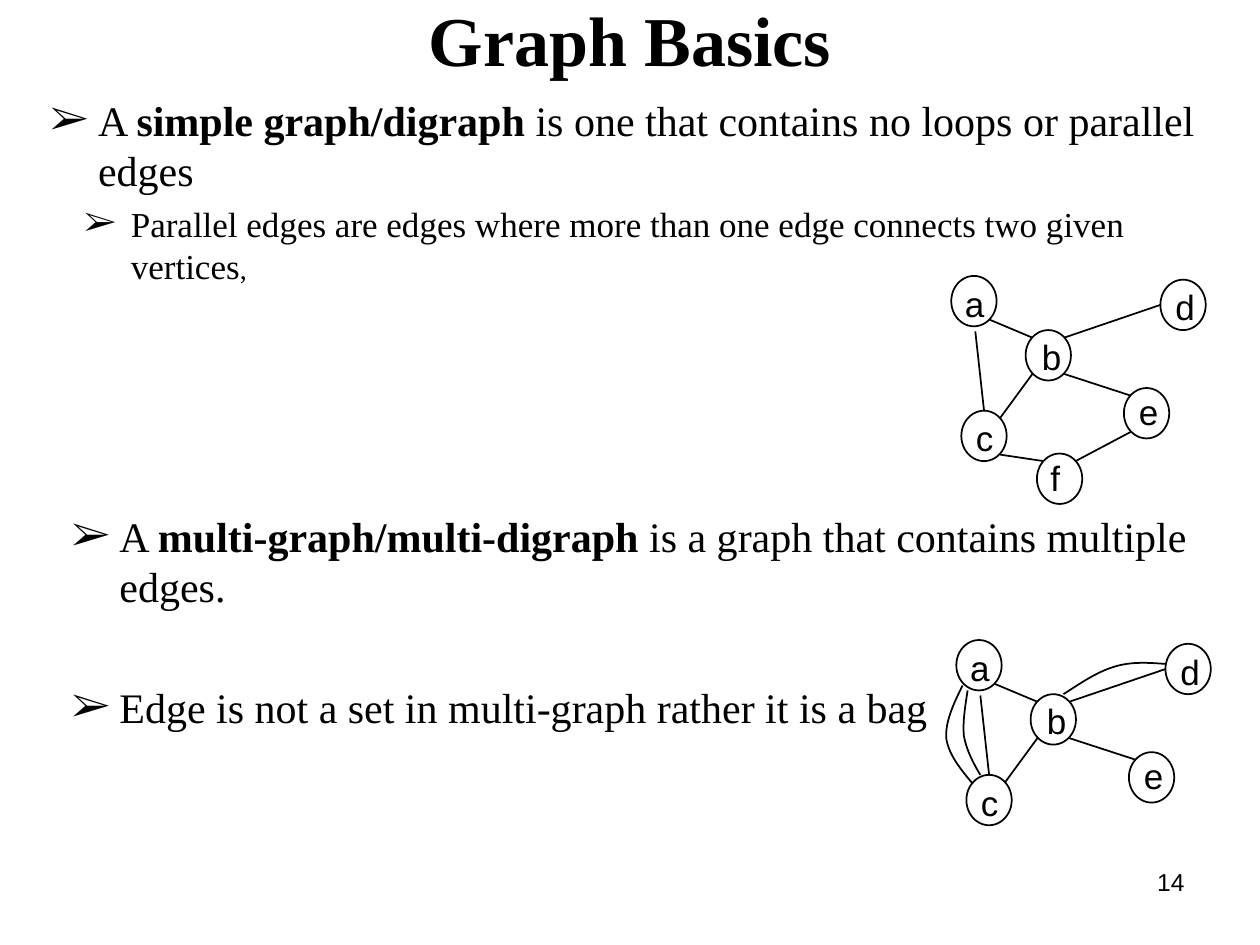
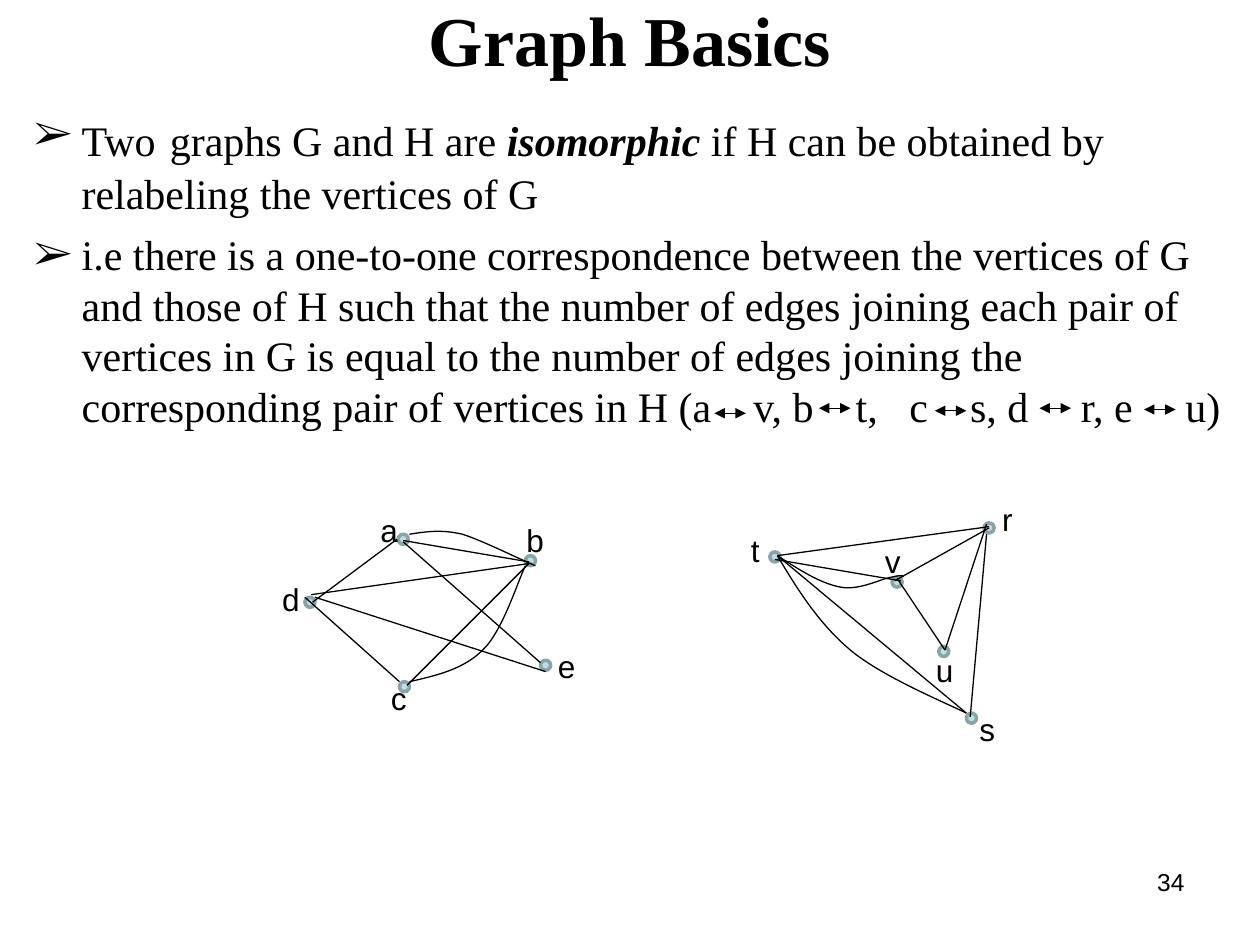
import pptx
import pptx.dml.color
import pptx.enum.shapes
import pptx.enum.text
import pptx.oxml
import pptx.oxml.ns
import pptx.util
from lxml import etree

Inches = pptx.util.Inches
Pt = pptx.util.Pt
ALIGN = pptx.enum.text.PP_ALIGN
ANCHOR = pptx.enum.text.MSO_ANCHOR
qn = pptx.oxml.ns.qn

INK, DOT_FILL, DOT_RIM = "000000", "BBE0E3", "89A4A7"
SERIF, SANS = "Times New Roman", "Arial"
NODE_W, NODE_H, DOT = 0.36, 0.4, 0.08

SITES = {
    "top": (0.5, 0), "below": (0.53, 1.1), "left": (0, 0.5),
    "upper left": (0.15, 0.15), "upper right": (0.85, 0.15),
    "lower left": (0.15, 0.87), "lower right": (0.85, 0.87),
}
NODES = {"a": (0.05, 0), "b": (0.64, 0.43), "c": (0.13, 1.07),
         "d": (1.71, 0.03), "e": (1.42, 0.89), "f": (0.73, 1.41)}
NODE_LABELS = {"a": (0.06, 0), "b": (0.67, 0.42), "c": (0.14, 1.07),
               "d": (1.73, 0.03), "e": (1.44, 0.86), "f": (0.7, 1.38)}
NODE_EDGES = [
    ("a", "lower right", "b", "upper left"),
    ("c", "upper right", "b", "lower left"),
    ("b", "upper right", "d", "left"),
    ("e", "upper left", "b", "lower right"),
    ("e", "lower left", "f", "upper right"),
    ("f", "upper left", "c", "lower right"),
    ("c", "top", "a", "below"),
]
PARALLEL_EDGES = [
    [(0.9, 0.43), (1.04, 0.34), (1.17, 0.25), (1.31, 0.21),
     (1.44, 0.17), (1.58, 0.18), (1.71, 0.19)],
    [(0.24, 1.07), (0.18, 0.97), (0.13, 0.87), (0.11, 0.76),
     (0.1, 0.65), (0.12, 0.53), (0.14, 0.4)],
    [(0.18, 1.14), (0.08, 1.02), (-0.01, 0.91), (-0.03, 0.78),
     (-0.04, 0.65), (0.03, 0.5), (0.1, 0.36)],
]
GRAPH_G = {
    "dots": [(2.03, 0.33), (0.28, 0.66), (1.03, 1.33), (1.02, 0.16), (2.15, 1.16)],
    "edges": [(1.06, 0.21, 2.06, 0.38), (1.01, 0.2, 0.34, 0.7),
              (0.28, 0.66, 1.03, 1.33), (1.06, 0.22, 2.15, 1.18),
              (2.06, 0.39, 1.09, 1.36), (2.19, 1.25, 0.36, 0.66),
              (2.08, 0.39, 0.33, 0.64)],
    "curves": [
        [(1.11, 1.33), (1.33, 1.28), (1.54, 1.23), (1.69, 1.08),
         (1.85, 0.93), (1.97, 0.53), (2.03, 0.41)],
        [(1.11, 0.16), (1.24, 0.14), (1.36, 0.12), (1.53, 0.16),
         (1.69, 0.21), (2.01, 0.37), (2.11, 0.41)],
    ],
    "labels": {"a": (0.78, 0), "b": (1.94, 0.08), "c": (0.86, 1.33),
               "d": (0, 0.55), "e": (2.19, 1.08)},
}
GRAPH_H = {
    "dots": [(0.28, 0.39), (1.25, 0.59), (1.98, 0.16), (1.62, 1.14), (1.84, 1.67)],
    "edges": [(2, 0.25, 1.87, 1.7), (0.34, 0.42, 2.02, 0.19),
              (1.27, 0.62, 2.02, 0.2), (0.32, 0.45, 1.32, 0.62),
              (1.29, 0.6, 1.67, 1.17), (1.67, 1.17, 2, 0.17),
              (0.34, 0.42, 1.84, 1.67)],
    "curves": [
        [(0.34, 0.42), (0.5, 0.69), (0.67, 0.96), (0.92, 1.17),
         (1.17, 1.38), (1.68, 1.59), (1.84, 1.67)],
        [(0.34, 0.42), (0.51, 0.53), (0.68, 0.64), (0.84, 0.67),
         (0.99, 0.7), (1.17, 0.6), (1.25, 0.59),
         (1.34, 0.57), (1.34, 0.58), (1.34, 0.59)],
    ],
    "labels": {"t": (0, 0.25), "v": (1.09, 0.34), "u": (1.5, 1.2),
               "r": (2, 0), "s": (1.84, 1.67)},
}


def color(hex_code):
    return pptx.dml.color.RGBColor.from_string(hex_code)


def add_run(paragraph, text, size=24, font=SERIF, bold=False, italic=False, spacing=0):
    run = paragraph.add_run()
    run.text = text
    run.font.size = Pt(size)
    run.font.name = font
    run.font.bold = bold
    run.font.italic = italic
    run.font.color.rgb = color(INK)
    if spacing:
        run._r.get_or_add_rPr().set("spc", str(spacing * 100))


def add_label(slide, box, text, size, align=ALIGN.CENTER, anchor=ANCHOR.TOP):
    frame = slide.shapes.add_textbox(*map(Inches, box)).text_frame
    frame.word_wrap = False
    frame.vertical_anchor = anchor
    frame.paragraphs[0].alignment = align
    add_run(frame.paragraphs[0], text, size=size, font=SANS)


def add_bullet(paragraph, margin, hanging, before=0):
    paragraph.space_before = Pt(before)
    properties = paragraph._p.get_or_add_pPr()
    properties.set("marL", str(Inches(margin)))
    properties.set("indent", str(-Inches(hanging)))
    tint = etree.SubElement(properties, qn("a:buClr"))
    etree.SubElement(tint, qn("a:srgbClr")).set("val", INK)
    etree.SubElement(properties, qn("a:buFont")).set("typeface", SERIF)
    etree.SubElement(properties, qn("a:buChar")).set("char", "➢")


def add_points(slide, box, points):
    frame = slide.shapes.add_textbox(*map(Inches, box)).text_frame
    frame.word_wrap = True
    for index, (indents, runs) in enumerate(points):
        paragraph = frame.add_paragraph() if index else frame.paragraphs[0]
        add_bullet(paragraph, **indents)
        for text, style in runs:
            add_run(paragraph, text, **style)


def add_edge(slide, x1, y1, x2, y2, weight, arrows=False):
    edge = slide.shapes.add_connector(
        pptx.enum.shapes.MSO_CONNECTOR.STRAIGHT, *map(Inches, (x1, y1, x2, y2)))
    edge.line.color.rgb = color(INK)
    edge.line.width = Pt(weight)
    if arrows:
        for end in ("a:headEnd", "a:tailEnd"):
            etree.SubElement(edge.line._get_or_add_ln(), qn(end)).set("type", "triangle")
    etree.SubElement(edge._element.spPr, qn("a:effectLst"))


def bend_segments(curve):
    segments = list(curve._element.iter(qn("a:lnTo")))
    for first in range(0, len(segments), 3):
        bend = etree.Element(qn("a:cubicBezTo"))
        segments[first].addprevious(bend)
        for segment in segments[first:first + 3]:
            bend.append(segment[0])
            segment.getparent().remove(segment)


def add_curve(slide, origin, knots, weight):
    left, top = origin
    start, *rest = [(Inches(left + x), Inches(top + y)) for x, y in knots]
    builder = slide.shapes.build_freeform(*start)
    builder.add_line_segments(rest, close=False)
    curve = builder.convert_to_shape()
    bend_segments(curve)
    curve.shadow.inherit = False
    curve.fill.background()
    curve.line.color.rgb = color(INK)
    curve.line.width = Pt(weight)


def add_ellipse(slide, box, rim, weight, fill=None):
    ellipse = slide.shapes.add_shape(
        pptx.enum.shapes.MSO_SHAPE.OVAL, *map(Inches, box))
    ellipse.shadow.inherit = False
    if fill:
        ellipse.fill.solid()
        ellipse.fill.fore_color.rgb = color(fill)
    else:
        ellipse.fill.background()
    ellipse.line.color.rgb = color(rim)
    ellipse.line.width = Pt(weight)


def circled_graph(slide, origin, letters, curves=()):
    left, top = origin

    def site(letter, side):
        (x, y), (across, down) = NODES[letter], SITES[side]
        return left + x + across * NODE_W, top + y + down * NODE_H

    for letter in letters:
        x, y = NODE_LABELS[letter]
        add_label(slide, (left + x, top + y, 0.35, 0.44), letter, 20)
    for letter in letters:
        x, y = NODES[letter]
        add_ellipse(slide, (left + x, top + y, NODE_W, NODE_H), INK, 1)
    for start, start_side, end, end_side in NODE_EDGES:
        if start in letters and end in letters:
            add_edge(slide, *site(start, start_side), *site(end, end_side), 1)
    for knots in curves:
        add_curve(slide, origin, knots, 1)


def dotted_graph(slide, origin, graph):
    left, top = origin
    for x, y in graph["dots"]:
        add_ellipse(slide, (left + x, top + y, DOT, DOT), DOT_RIM, 2, DOT_FILL)
    for x1, y1, x2, y2 in graph["edges"]:
        add_edge(slide, left + x1, top + y1, left + x2, top + y2, 0.75)
    for knots in graph["curves"]:
        add_curve(slide, origin, knots, 0.75)
    for letter, (x, y) in graph["labels"].items():
        add_label(slide, (left + x, top + y, 0.33, 0.25), letter, 18,
                  anchor=ANCHOR.MIDDLE)


def new_slide(deck, number):
    slide = deck.slides.add_slide(deck.slide_layouts[5])
    title = slide.shapes.title
    title.left, title.top, title.width, title.height = map(Inches, (0.5, 0.08, 9, 0.45))
    title.text_frame.auto_size = pptx.enum.text.MSO_AUTO_SIZE.NONE
    title.text_frame.vertical_anchor = ANCHOR.MIDDLE
    heading = title.text_frame.paragraphs[0]
    heading.alignment = ALIGN.CENTER
    add_run(heading, "Graph Basics", size=40, bold=True)
    add_label(slide, (7.17, 6.83, 2.33, 0.52), number, 14, align=ALIGN.RIGHT)
    return slide


def simple_and_multi_slide(deck):
    slide = new_slide(deck, "14")
    outer = {"margin": 0.68, "hanging": 0.38}
    add_points(slide, (0, 0.7, 9.9, 1.8), [
        (outer, [("A ", {}), ("simple graph/digraph", {"bold": True}),
                 (" is one that contains no loops or parallel edges", {})]),
        ({"margin": 0.94, "hanging": 0.37, "before": 4},
         [("Parallel edges are edges where more than one edge connects two given vertices",
           {"size": 20}), (",", {"size": 16})]),
    ])
    circled_graph(slide, (7.5, 2.19), "abcdef")
    circled_graph(slide, (7.54, 5.08), "abcde", PARALLEL_EDGES)
    add_points(slide, (0.17, 4, 9.9, 1.75), [
        (outer, [("A ", {}), ("multi-graph/multi-digraph", {"bold": True}),
                 (" is a graph that contains multiple edges.", {})]),
        ({**outer, "before": 40},
         [("Edge is not a set in multi-graph rather it is a bag", {})]),
    ])


def isomorphic_slide(deck):
    slide = new_slide(deck, "34")
    indents = {"margin": 0.38, "hanging": 0.38}
    statement = [
        ("i.e there is a one-to-one correspondence between the vertices of G and those "
         "of H such that the number of edges joining each pair of vertices in G is equal "
         "to the number of edges joining the corresponding pair of vertices in H (a", {})]
    for gap, text in [(18, "v, b"), (18, "t,"), (12, "c"), (18, "s, d"),
                      (24, "r, e"), (24, "u)")]:
        statement += [(" ", {"spacing": gap}), (text, {})]
    add_points(slide, (0.17, 0.75, 9.73, 6.5), [
        (indents, [("Two", {}), (" ", {"size": 32}), ("graphs G and H are ", {}),
                   ("isomorphic ", {"bold": True, "italic": True}),
                   ("if H can be obtained by relabeling the vertices of G", {})]),
        ({**indents, "before": 6}, statement),
    ])
    dotted_graph(slide, (2.14, 4.08), GRAPH_G)
    dotted_graph(slide, (5.83, 3.99), GRAPH_H)
    for x, y in [(5.67, 3.28), (6.5, 3.24), (7.42, 3.26), (8.25, 3.24), (9.08, 3.25)]:
        add_edge(slide, x, y, x + 0.25, y, 0.75, arrows=True)


def main():
    deck = pptx.Presentation()
    deck.slide_width, deck.slide_height = Inches(10), Inches(7.5)
    simple_and_multi_slide(deck)
    isomorphic_slide(deck)
    deck.save("out.pptx")


if __name__ == "__main__":
    main()
